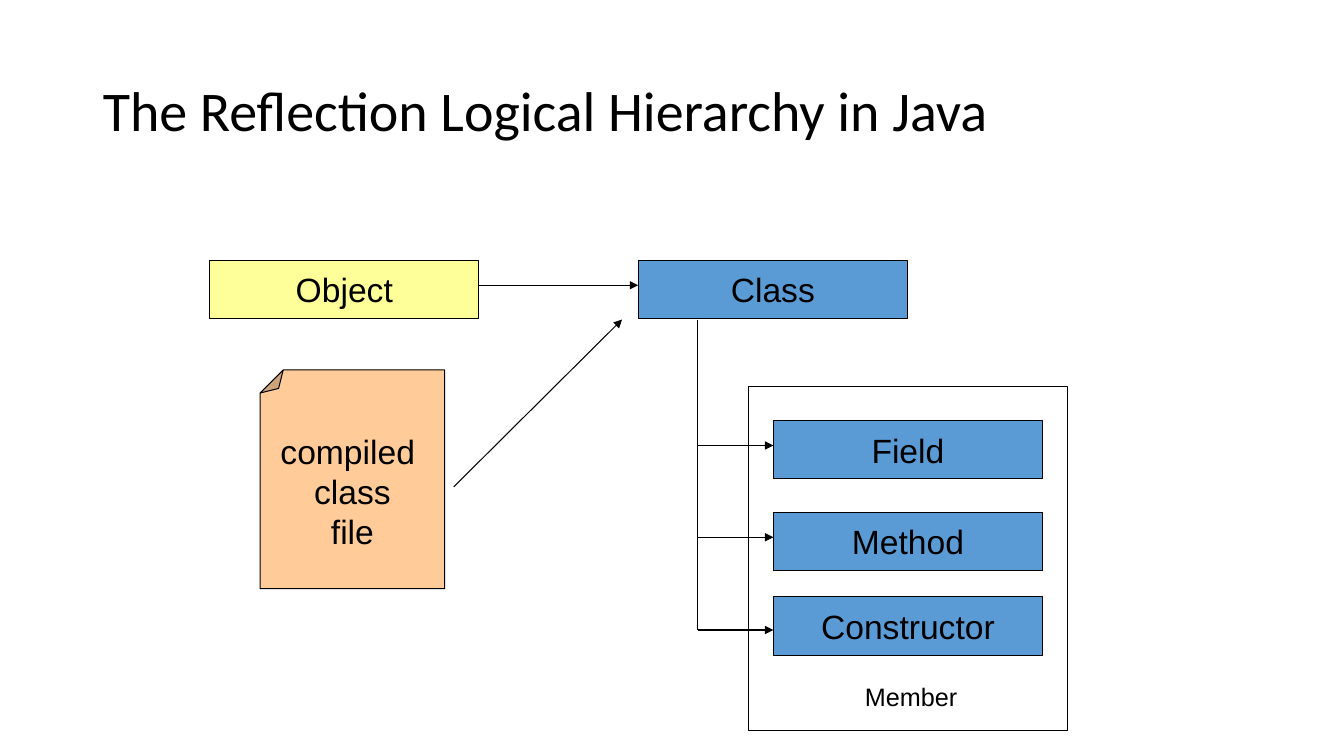
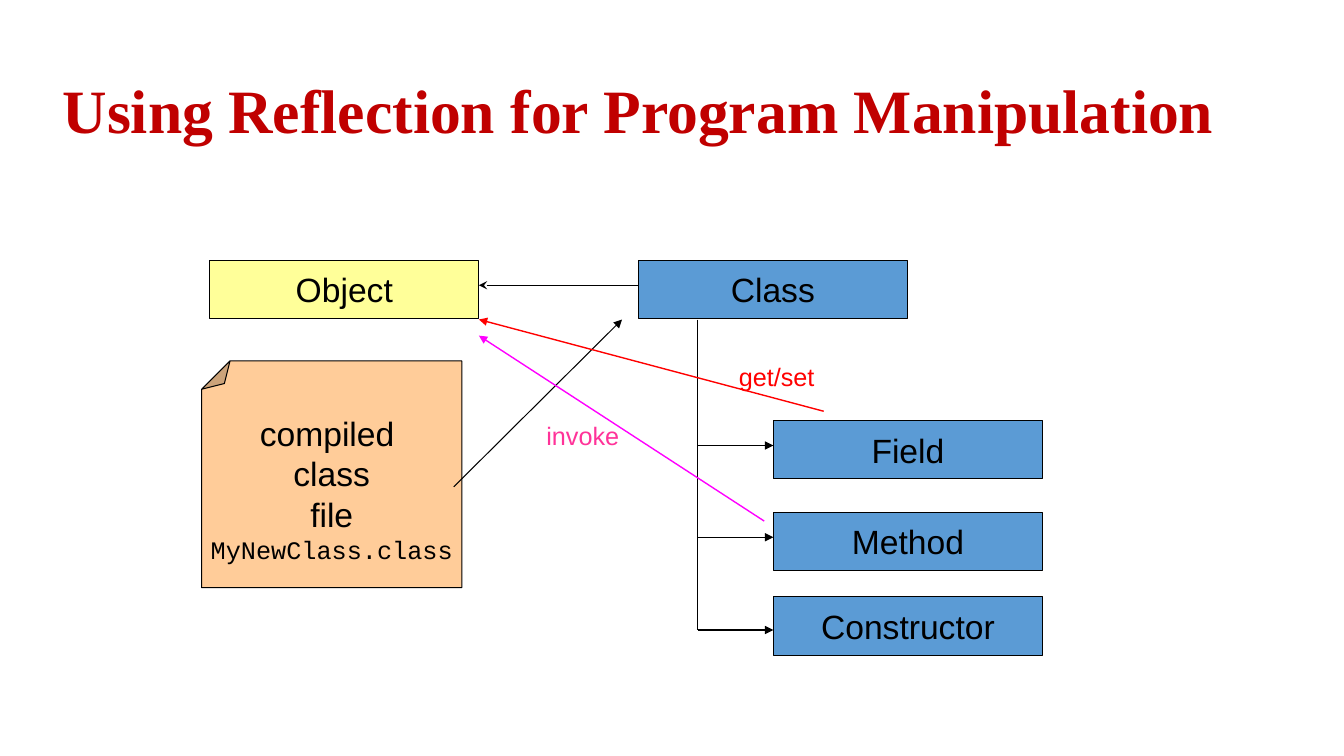
from lxml import etree
from pptx import Presentation
from pptx.dml.color import RGBColor
from pptx.enum import shapes, text
from pptx.oxml import ns
from pptx.util import Inches, Pt

BLACK = RGBColor(0x00, 0x00, 0x00)
BLUE = RGBColor(0x5B, 0x9B, 0xD5)
YELLOW = RGBColor(0xFF, 0xFF, 0x99)
PEACH = RGBColor(0xFF, 0xCC, 0x99)
DARK_RED = RGBColor(0xC0, 0x00, 0x00)
RED = RGBColor(0xFF, 0x00, 0x00)
MAGENTA = RGBColor(0xFF, 0x00, 0xFF)
PINK = RGBColor(0xFF, 0x33, 0x99)

# Content shared by both slides: (label, left, top, fill)
BOX_WIDTH, BOX_HEIGHT = 2.67, 0.58
BOXES = [
    ("Class", 6.33, 2.58, BLUE),
    ("Field", 7.67, 4.17, BLUE),
    ("Method", 7.67, 5.08, BLUE),
    ("Constructor", 7.67, 5.92, BLUE),
    ("Object", 2.08, 2.58, YELLOW),
]
TRUNK_X, TRUNK_TOP, BRANCH_END = 6.92, 3.17, 7.67
BRANCH_YS = [4.42, 5.33, 6.25]
FILE_LINES = [("compiled ", 24, "Arial"), ("class", 24, "Arial"), ("file", 24, "Arial")]

# Content that differs: labels are (text, left, top, width, colour),
# calls are (start, end, colour)
SLIDES = [
    {
        "title": ("The Reflection Logical Hierarchy in Java", 40, "Calibri", BLACK, False),
        "title_box": (0.92, 0.4, 11.5, 1.45),
        "member_frame": (7.42, 3.83, 3.17, 3.42),
        "object_link": {"tail": "triangle"},
        "file_box": (2.58, 3.67, 1.83, 2.17),
        "file_lines": FILE_LINES,
        "calls": [],
        "labels": [("Member", 8.48, 6.71, 1.12, BLACK)],
    },
    {
        "title": ("Using Reflection for Program Manipulation", 44, "Times New Roman", DARK_RED, True),
        "title_box": (0.52, 0.4, 11.9, 1.45),
        "member_frame": None,
        "object_link": {"head": "stealth"},
        "file_box": (2, 3.58, 2.58, 2.25),
        "file_lines": FILE_LINES + [("MyNewClass.class", 18, "Courier New")],
        "calls": [
            ((8.17, 4.08), (4.75, 3.17), RED),
            ((7.58, 5.17), (4.75, 3.33), MAGENTA),
        ],
        "labels": [
            ("get/set", 7.23, 3.54, 0.95, RED),
            ("invoke", 5.32, 4.12, 0.92, PINK),
        ],
    },
]


def inches(values):
    return [Inches(value) for value in values]


def write(paragraph, words, size, font, color=BLACK, bold=False):
    run = paragraph.add_run()
    run.text = words
    run.font.size, run.font.name, run.font.bold = Pt(size), font, bold
    run.font.color.rgb = color


def add_title(slide, words, size, font, color, bold, box):
    title = slide.shapes.title
    title.left, title.top, title.width, title.height = inches(box)
    frame = title.text_frame
    frame.word_wrap = True
    frame.auto_size = text.MSO_AUTO_SIZE.NONE
    frame.vertical_anchor = text.MSO_ANCHOR.MIDDLE
    paragraph = frame.paragraphs[0]
    paragraph.alignment = text.PP_ALIGN.LEFT
    paragraph.line_spacing = 0.9
    write(paragraph, words, size, font, color, bold)


def add_box(slide, box, fill=None, lines=(), kind=shapes.MSO_SHAPE.RECTANGLE):
    shape = slide.shapes.add_shape(kind, *inches(box))
    shape.shadow.inherit = False
    if fill is None:
        shape.fill.background()
    else:
        shape.fill.solid()
        shape.fill.fore_color.rgb = fill
    shape.line.color.rgb = BLACK
    shape.line.width = Pt(0.75)
    frame = shape.text_frame
    frame.word_wrap = False
    frame.vertical_anchor = text.MSO_ANCHOR.MIDDLE
    for index, line in enumerate(lines):
        paragraph = frame.add_paragraph() if index else frame.paragraphs[0]
        paragraph.alignment = text.PP_ALIGN.CENTER
        write(paragraph, *line)
    return shape


def add_file(slide, box, lines):
    page = add_box(slide, box, PEACH, lines, shapes.MSO_SHAPE.FOLDED_CORNER)
    # Set the size of the fold
    adjustments = next(page._element.spPr.iter(ns.qn("a:avLst")))
    etree.SubElement(adjustments, ns.qn("a:gd"), name="adj", fmla="val 12500")
    # Turn the fold to the top left and keep the text upright
    page.rotation = 180
    page.text_frame._txBody.bodyPr.set("rot", "10800000")
    page.text_frame.paragraphs[-1].space_after = Pt(6)


def add_line(slide, start, end, color=BLACK, width=0.75, head=None, tail=None):
    line = slide.shapes.add_connector(
        shapes.MSO_CONNECTOR.STRAIGHT, *inches(start + end))
    line.line.color.rgb = color
    line.line.width = Pt(width)
    outline = line.line._get_or_add_ln()
    for tag, arrow in (("a:headEnd", head), ("a:tailEnd", tail)):
        if arrow:
            etree.SubElement(outline, ns.qn(tag), type=arrow)
    etree.SubElement(line._element.spPr, ns.qn("a:effectLst"))


def add_label(slide, words, left, top, width, color):
    label = slide.shapes.add_textbox(*inches((left, top, width, 0.4)))
    label.text_frame.word_wrap = False
    write(label.text_frame.paragraphs[0], words, 18, "Arial", color)


def build_slide(deck, content):
    slide = deck.slides.add_slide(deck.slide_layouts[5])
    add_title(slide, *content["title"], content["title_box"])
    if content["member_frame"]:
        add_box(slide, content["member_frame"])
    for name, left, top, fill in BOXES:
        add_box(slide, (left, top, BOX_WIDTH, BOX_HEIGHT), fill, [(name, 24, "Arial")])

    # Tree from Class to its members
    add_line(slide, (TRUNK_X, TRUNK_TOP), (TRUNK_X, BRANCH_YS[-1]))
    for y in BRANCH_YS:
        add_line(slide, (TRUNK_X, y), (BRANCH_END, y), width=1, tail="triangle")

    # Object and class file, each linked to Class
    add_line(slide, (4.75, 2.83), (6.33, 2.83), **content["object_link"])
    add_file(slide, content["file_box"], content["file_lines"])
    add_line(slide, (4.5, 4.83), (6.17, 3.17), tail="triangle")

    # Calls back to the object, and labels
    for start, end, color in content["calls"]:
        add_line(slide, start, end, color, 1, tail="triangle")
    for label in content["labels"]:
        add_label(slide, *label)


def main():
    deck = Presentation()
    deck.slide_width, deck.slide_height = inches((13.33, 7.5))
    for content in SLIDES:
        build_slide(deck, content)
    deck.save("out.pptx")


if __name__ == "__main__":
    main()
